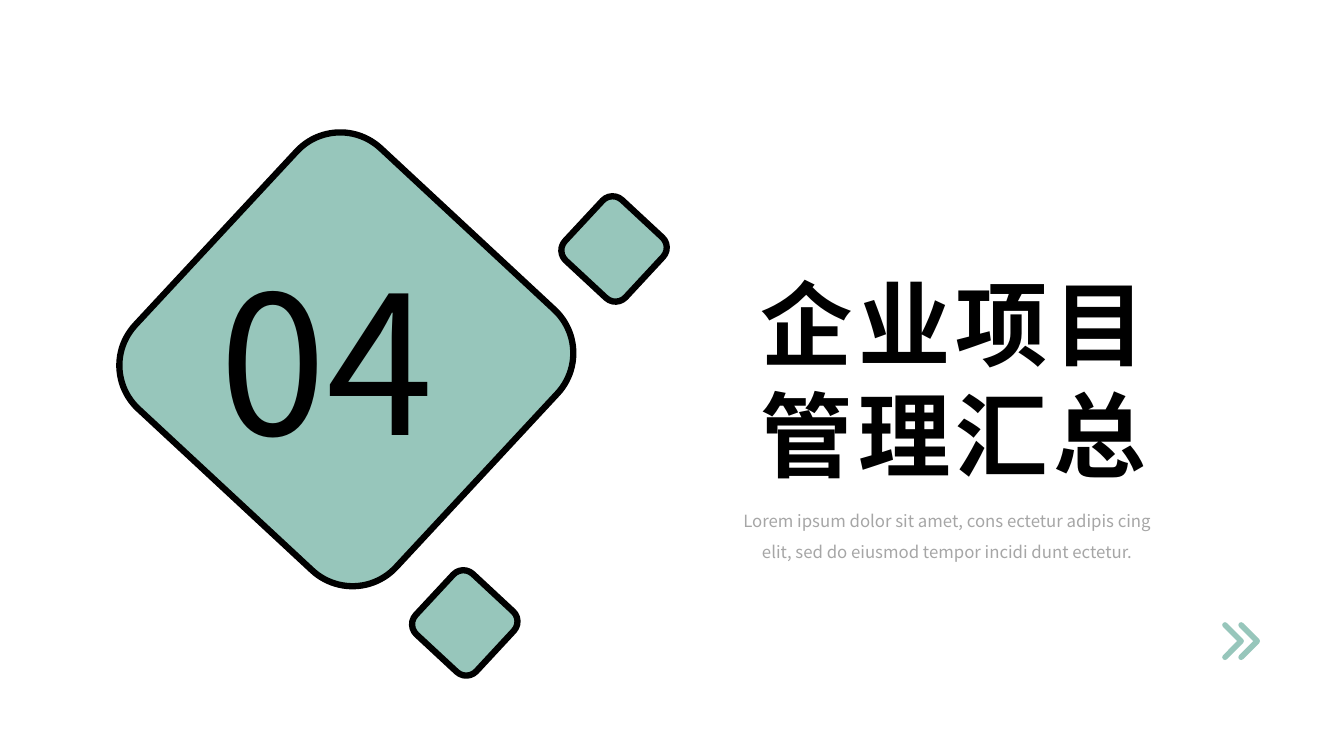
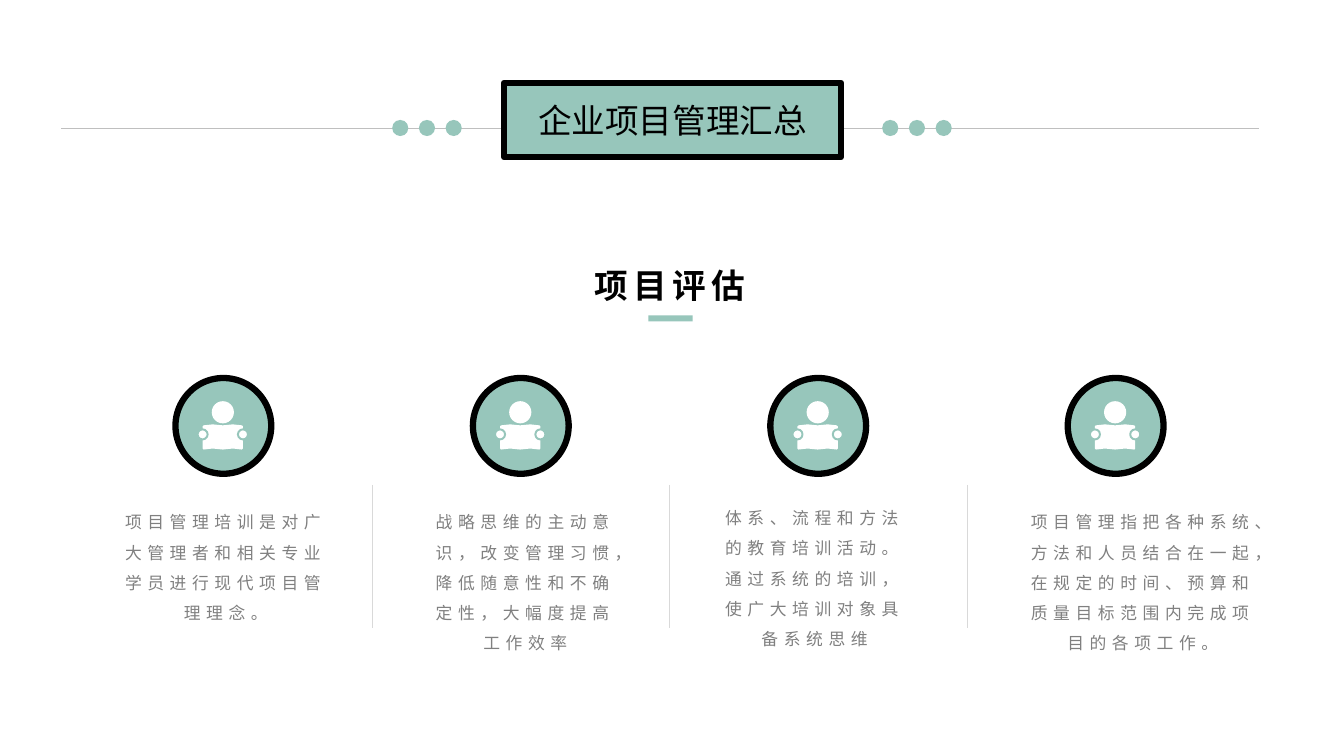
import lxml.etree
import pptx
import pptx.dml.color
import pptx.enum.shapes
import pptx.enum.text
import pptx.oxml
import pptx.oxml.ns
import pptx.util

Inches = pptx.util.Inches
Pt = pptx.util.Pt
SHAPES = pptx.enum.shapes.MSO_SHAPE
ALIGN = pptx.enum.text.PP_ALIGN
ANCHOR = pptx.enum.text.MSO_ANCHOR

GREEN, BLACK, WHITE = "97C6BB", "000000", "FFFFFF"
RULE_GREY, DIVIDER_GREY = "BFBFBF", "D9D9D9"
CAPTION_GREY, TEXT_GREY = "A6A6A6", "808080"
FONT, NUMBER_FONT = "Noto Sans CJK JP", "Noto Sans CJK SC"
OUTLINE = 4.5
COLUMN_STEP = 2.95
COLUMNS = [
    (1.14, 4.93, 2.2, 1.28, "项目管理培训是对广大管理者和相关专业学员进行现代项目管理理念。"),
    (4.12, 4.93, 2.18, 1.58, "战略思维的主动意识，改变管理习惯，降低随意性和不确定性，大幅度提高工作效率"),
    (7.02, 4.89, 2.12, 1.58, "体系、流程和方法的教育培训活动。通过系统的培训，使广大培训对象具备系统思维"),
    (10.04, 4.93, 2.59, 1.58, "项目管理指把各种系统、方法和人员结合在一起，在规定的时间、预算和质量目标范围内完成项目的各项工作。"),
]


def color(value):
    """Turn a hex string into a colour."""
    return pptx.dml.color.RGBColor.from_string(value)


def paint(shape, fill=None, line=None, width=OUTLINE):
    """Set the fill and outline of a shape; None leaves either one out."""
    if fill:
        shape.fill.solid()
        shape.fill.fore_color.rgb = color(fill)
    else:
        shape.fill.background()
    if line:
        shape.line.color.rgb = color(line)
        shape.line.width = Pt(width)
    else:
        shape.line.fill.background()


def place(shape, left, top, width, height):
    """Move and size a shape, in inches."""
    shape.left, shape.top = Inches(left), Inches(top)
    shape.width, shape.height = Inches(width), Inches(height)


def add_preset(slide, kind, box, fill=GREEN, line=None, width=OUTLINE, rotation=0):
    """Add a painted preset shape."""
    shape = slide.shapes.add_shape(kind, *map(Inches, box))
    shape.shadow.inherit = False
    shape.rotation = rotation
    paint(shape, fill, line, width)
    return shape


def add_outline(slide, points, closed):
    """Add a straight-edged freeform through points given in inches."""
    corners = [(Inches(x), Inches(y)) for x, y in points]
    builder = slide.shapes.build_freeform(*corners[0], scale=1.0)
    builder.add_line_segments(corners[1:], close=closed)
    shape = builder.convert_to_shape()
    shape.shadow.inherit = False
    return shape


def add_rule(slide, start, end, line):
    """Add a hairline between two points."""
    rule = slide.shapes.add_connector(
        pptx.enum.shapes.MSO_CONNECTOR.STRAIGHT, *map(Inches, start + end))
    rule.line.color.rgb = color(line)
    rule.line.width = Pt(0.25)
    lxml.etree.SubElement(rule.element.spPr, pptx.oxml.ns.qn("a:effectLst"))


def write(shape, lines, size, fill=BLACK, font=FONT, align=ALIGN.LEFT, bold=False,
          tracking=0, spacing=1.0, anchor=ANCHOR.TOP, wrap=True):
    """Fill a shape with one paragraph per line of text."""
    frame = shape.text_frame
    frame.auto_size = pptx.enum.text.MSO_AUTO_SIZE.NONE
    frame.word_wrap = wrap
    frame.vertical_anchor = anchor
    for index, text in enumerate(lines):
        paragraph = frame.add_paragraph() if index else frame.paragraphs[0]
        paragraph.alignment = align
        paragraph.line_spacing = spacing
        paragraph.space_before = Pt(0)
        run = paragraph.add_run()
        run.text = text
        run.font.name = font
        run.font.size = Pt(size)
        run.font.bold = bold
        run.font.color.rgb = color(fill)
        properties = run.font._element
        properties.set("spc", str(tracking * 100))
        east_asian = lxml.etree.SubElement(properties, pptx.oxml.ns.qn("a:ea"))
        east_asian.set("typeface", font)


def add_text(slide, box, lines, size, **style):
    """Add a formatted text box."""
    write(slide.shapes.add_textbox(*map(Inches, box)), lines, size, **style)


def add_chevron(slide, left, top):
    """Add a round-ended arrow stroke pointing right."""
    chevron = add_outline(
        slide, [(left, top), (left + 0.16, top + 0.16), (left, top + 0.32)], False)
    paint(chevron, None, GREEN, 4)
    line = chevron.element.spPr.get_or_add_ln()
    line.set("cap", "rnd")
    lxml.etree.SubElement(line, pptx.oxml.ns.qn("a:round"))


def add_reader(slide, center, top):
    """Add a badge with a person holding an open book."""
    add_preset(slide, SHAPES.OVAL, (center - 0.47, top, 0.95, 0.95), GREEN, BLACK)
    book = [(-0.2, 0.48), (-0.19, 0.47), (-0.1, 0.46), (0, 0.47), (0.1, 0.46),
            (0.19, 0.47), (0.2, 0.48), (0.2, 0.7), (0.19, 0.71), (0.1, 0.7),
            (0, 0.71), (-0.1, 0.7), (-0.19, 0.71), (-0.2, 0.7)]
    paint(add_outline(slide, [(center + x, top + y) for x, y in book], True), WHITE)
    for hand in (center - 0.2, center + 0.2):
        add_preset(slide, SHAPES.OVAL, (hand - 0.05, top + 0.51, 0.1, 0.1),
                   WHITE, GREEN, 1.4)
    add_preset(slide, SHAPES.OVAL, (center - 0.11, top + 0.23, 0.22, 0.22), WHITE)


def make_pill(title, box):
    """Turn the title placeholder into an outlined pill in front of the rule."""
    place(title, *box)
    geometry = pptx.oxml.parse_xml(
        '<a:prstGeom %s prst="roundRect"><a:avLst>'
        '<a:gd name="adj" fmla="val 50000"/></a:avLst></a:prstGeom>'
        % pptx.oxml.ns.nsdecls("a"))
    title.element.spPr.insert(1, geometry)
    paint(title, GREEN, BLACK)
    title.element.getparent().append(title.element)


def build_section(presentation):
    """Build the numbered section opener."""
    slide = presentation.slides.add_slide(presentation.slide_layouts[0])
    for left, top, side in ((1.67, 1.8, 3.53), (5.68, 2.06, 0.82), (4.2, 5.77, 0.82)):
        add_preset(slide, SHAPES.ROUNDED_RECTANGLE, (left, top, side, side),
                   GREEN, BLACK, rotation=42.9)
    add_text(slide, (2.08, 2.35, 2.52, 2.42), ["04"], 138,
             font=NUMBER_FONT, align=ALIGN.JUSTIFY)
    title, subtitle = slide.placeholders
    place(title, 7.44, 2.6, 4.14, 2.32)
    write(title, ["企业项目", "管理汇总"], 66, bold=True, tracking=4, wrap=False)
    place(subtitle, 7.13, 4.92, 4.53, 0.67)
    write(subtitle, ["Lorem ipsum dolor sit amet, cons ectetur adipis cing elit, "
                     "sed do eiusmod tempor incidi dunt ectetur."],
          12, fill=CAPTION_GREY, align=ALIGN.CENTER, spacing=1.5)
    for left in (12.15, 12.31):
        add_chevron(slide, left, 6.2)


def build_evaluation(presentation):
    """Build the four-column evaluation slide."""
    slide = presentation.slides.add_slide(presentation.slide_layouts[5])
    add_rule(slide, (0.61, 1.27), (12.49, 1.27), RULE_GREY)
    title = slide.shapes.title
    make_pill(title, (5, 0.82, 3.34, 0.74))
    write(title, ["企业项目管理汇总"], 24, align=ALIGN.CENTER, anchor=ANCHOR.MIDDLE)
    for group_left in (3.89, 8.75):
        for index in range(3):
            add_preset(slide, SHAPES.OVAL,
                       (group_left + 0.265 * index, 1.19, 0.16, 0.16))
    add_text(slide, (5.71, 2.38, 1.87, 0.64), ["项目评估"], 24, bold=True,
             align=ALIGN.CENTER, tracking=4, spacing=1.5)
    add_preset(slide, SHAPES.RECTANGLE, (6.43, 3.13, 0.44, 0.06))
    for index, (*box, text) in enumerate(COLUMNS):
        offset = COLUMN_STEP * index
        add_reader(slide, 2.21 + offset, 3.75)
        if index:
            divider = 3.69 + offset - COLUMN_STEP
            add_rule(slide, (divider, 4.81), (divider, 6.23), DIVIDER_GREY)
        add_text(slide, box, [text], 12, fill=TEXT_GREY, align=ALIGN.CENTER,
                 tracking=4, spacing=1.5)


def main():
    """Build and save the presentation."""
    presentation = pptx.Presentation()
    presentation.slide_width = Inches(13.33)
    presentation.slide_height = Inches(7.5)
    build_section(presentation)
    build_evaluation(presentation)
    presentation.save("out.pptx")


if __name__ == "__main__":
    main()
